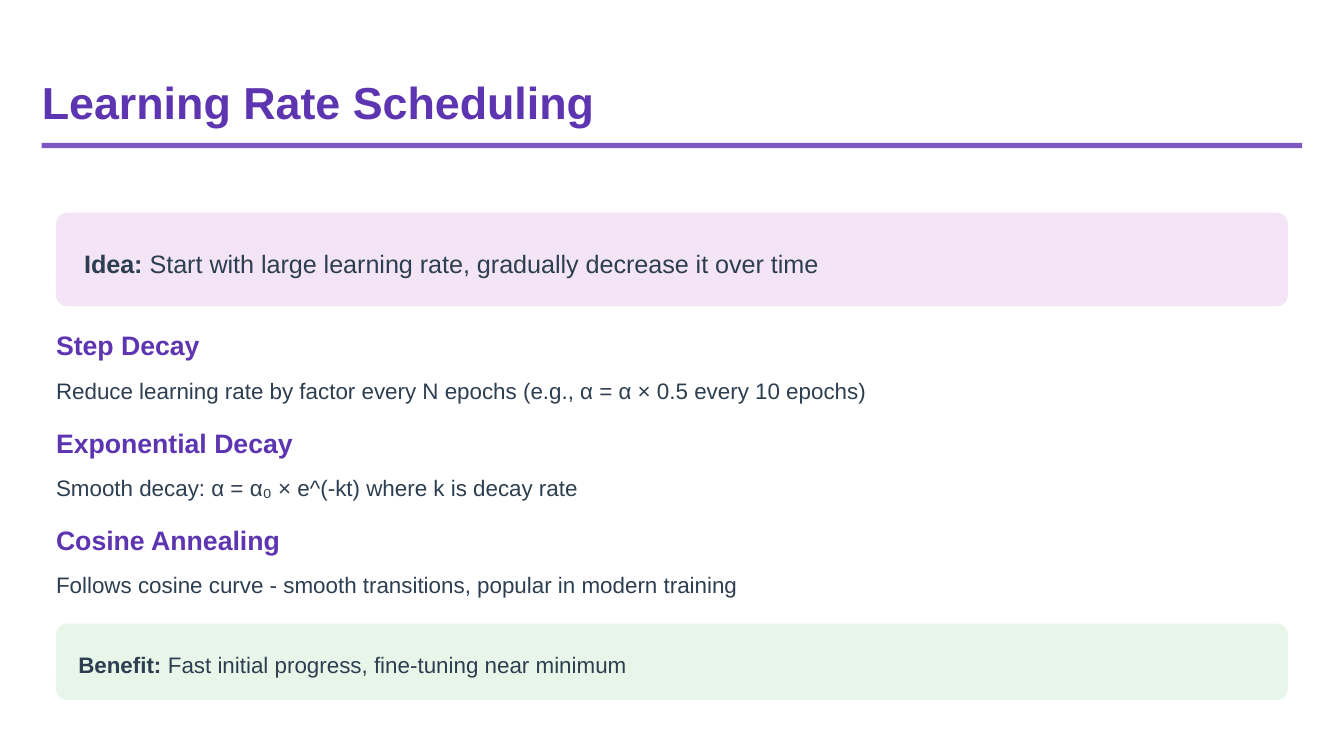
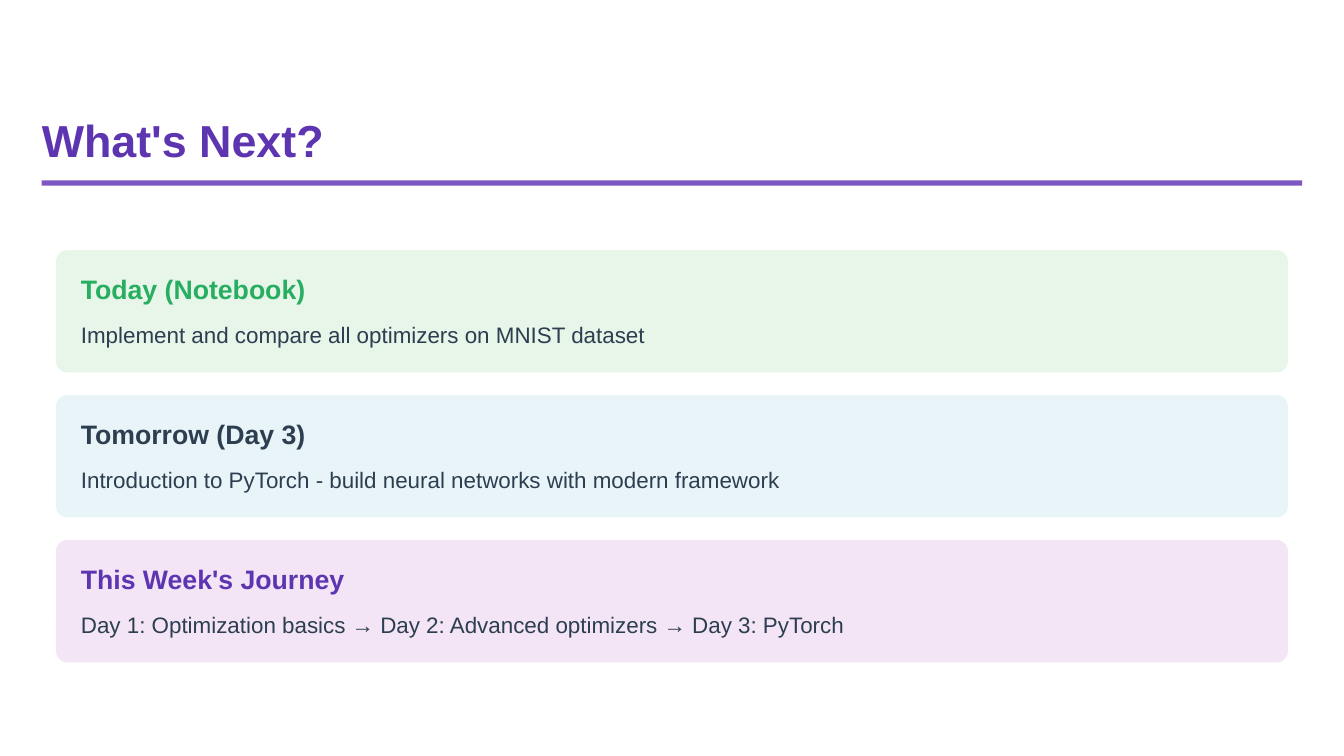
from dataclasses import dataclass

from pptx import Presentation
from pptx.dml.color import RGBColor
from pptx.enum.shapes import MSO_SHAPE
from pptx.enum.text import MSO_ANCHOR, MSO_AUTO_SIZE, PP_ALIGN
from pptx.util import Cm, Pt


@dataclass(frozen=True)
class Theme:
    font: str = "Arial"
    purple: str = "5E35B1"
    rule: str = "7E57C2"
    ink: str = "2C3E50"
    green: str = "27AE60"
    lilac: str = "F3E5F5"
    mint: str = "E8F5E9"
    sky: str = "E8F4F8"
    title_size: float = 24
    heading_size: float = 14.25
    idea_size: float = 13.5
    body_size: float = 12
    title_leading: float = 24
    heading_leading: float = 15.75
    idea_leading: float = 20.25
    body_leading: float = 16.8


theme = Theme()


def write_text(box, runs, size, leading, color):
    frame_format = {
        "margin_left": 0, "margin_top": 0, "margin_right": 0, "margin_bottom": 0,
        "word_wrap": True, "auto_size": MSO_AUTO_SIZE.NONE,
        "vertical_anchor": MSO_ANCHOR.TOP,
    }
    for name, value in frame_format.items():
        setattr(box.text_frame, name, value)
    paragraph = box.text_frame.paragraphs[0]
    paragraph.alignment = PP_ALIGN.LEFT
    paragraph.line_spacing = Pt(leading)
    for text, bold in runs:
        run = paragraph.add_run()
        run.text = text
        run_format = {"name": theme.font, "size": Pt(size), "bold": bold}
        for name, value in run_format.items():
            setattr(run.font, name, value)
        run.font.color.rgb = RGBColor.from_string(color)


def draw_box(slide, kind, left, top, width, height, fill):
    shape = slide.shapes.add_shape(kind, Cm(left), Cm(top), Cm(width), Cm(height))
    shape.shadow.inherit = False
    shape.fill.solid()
    shape.fill.fore_color.rgb = RGBColor.from_string(fill)
    shape.line.fill.background()
    if kind == MSO_SHAPE.ROUNDED_RECTANGLE:
        shape.adjustments[0] = 0.21 / height


presentation = Presentation()
presentation.slide_width = Cm(25.4)
presentation.slide_height = Cm(14.29)

slides = []
for title, top in [("Learning Rate Scheduling", 1.59), ("What's Next?", 2.3)]:
    slide = presentation.slides.add_slide(presentation.slide_layouts[5])
    placement = {"left": 0.79, "top": top, "width": 12.17, "height": 0.84}
    for name, value in placement.items():
        setattr(slide.shapes.title, name, Cm(value))
    write_text(slide.shapes.title, [(title, True)],
               theme.title_size, theme.title_leading, theme.purple)
    draw_box(slide, MSO_SHAPE.RECTANGLE, 0.79, top + 1.11, 23.82, 0.1, theme.rule)
    slides.append(slide)
scheduling, whats_next = slides

card_left, card_width = 1.06, 23.28
callouts = [
    (4.02, 1.77, theme.lilac, 1.59, 0.71, "Idea:",
     " Start with large learning rate, gradually decrease it over time",
     theme.idea_size, theme.idea_leading),
    (11.79, 1.44, theme.mint, 1.48, 0.59, "Benefit:",
     " Fast initial progress, fine-tuning near minimum",
     theme.body_size, theme.body_leading),
]
for top, height, fill, left, text_height, label, text, size, leading in callouts:
    draw_box(scheduling, MSO_SHAPE.ROUNDED_RECTANGLE,
             card_left, top, card_width, height, fill)
    box = scheduling.shapes.add_textbox(
        Cm(left), Cm(top + (height - text_height) / 2), Cm(22.7), Cm(text_height))
    write_text(box, [(label, True), (text, False)], size, leading, theme.ink)

methods = [
    ("Step Decay", theme.purple, None,
     "Reduce learning rate by factor every N epochs (e.g., α = α × 0.5 every 10 epochs)"),
    ("Exponential Decay", theme.purple, None,
     "Smooth decay: α = α₀ × e^(-kt) where k is decay rate"),
    ("Cosine Annealing", theme.purple, None,
     "Follows cosine curve - smooth transitions, popular in modern training"),
]
plans = [
    ("Today (Notebook)", theme.green, theme.mint,
     "Implement and compare all optimizers on MNIST dataset"),
    ("Tomorrow (Day 3)", theme.ink, theme.sky,
     "Introduction to PyTorch - build neural networks with modern framework"),
    ("This Week's Journey", theme.purple, theme.lilac,
     "Day 1: Optimization basics → Day 2: Advanced optimizers → Day 3: PyTorch"),
]
sections = [
    (scheduling, methods, card_left, 6.27, 1.84, 23.75),
    (whats_next, plans, 1.53, 5.21, 2.74, 22.78),
]
for slide, entries, left, first_top, pitch, width in sections:
    for index, (heading, color, fill, body) in enumerate(entries):
        top = first_top + index * pitch
        if fill:
            draw_box(slide, MSO_SHAPE.ROUNDED_RECTANGLE,
                     card_left, top - 0.48, card_width, 2.31, fill)
        heading_box = slide.shapes.add_textbox(Cm(left), Cm(top), Cm(11.9), Cm(0.56))
        write_text(heading_box, [(heading, True)],
                   theme.heading_size, theme.heading_leading, color)
        body_box = slide.shapes.add_textbox(Cm(left), Cm(top + 0.77), Cm(width), Cm(0.59))
        write_text(body_box, [(body, False)],
                   theme.body_size, theme.body_leading, theme.ink)

presentation.save("out.pptx")
